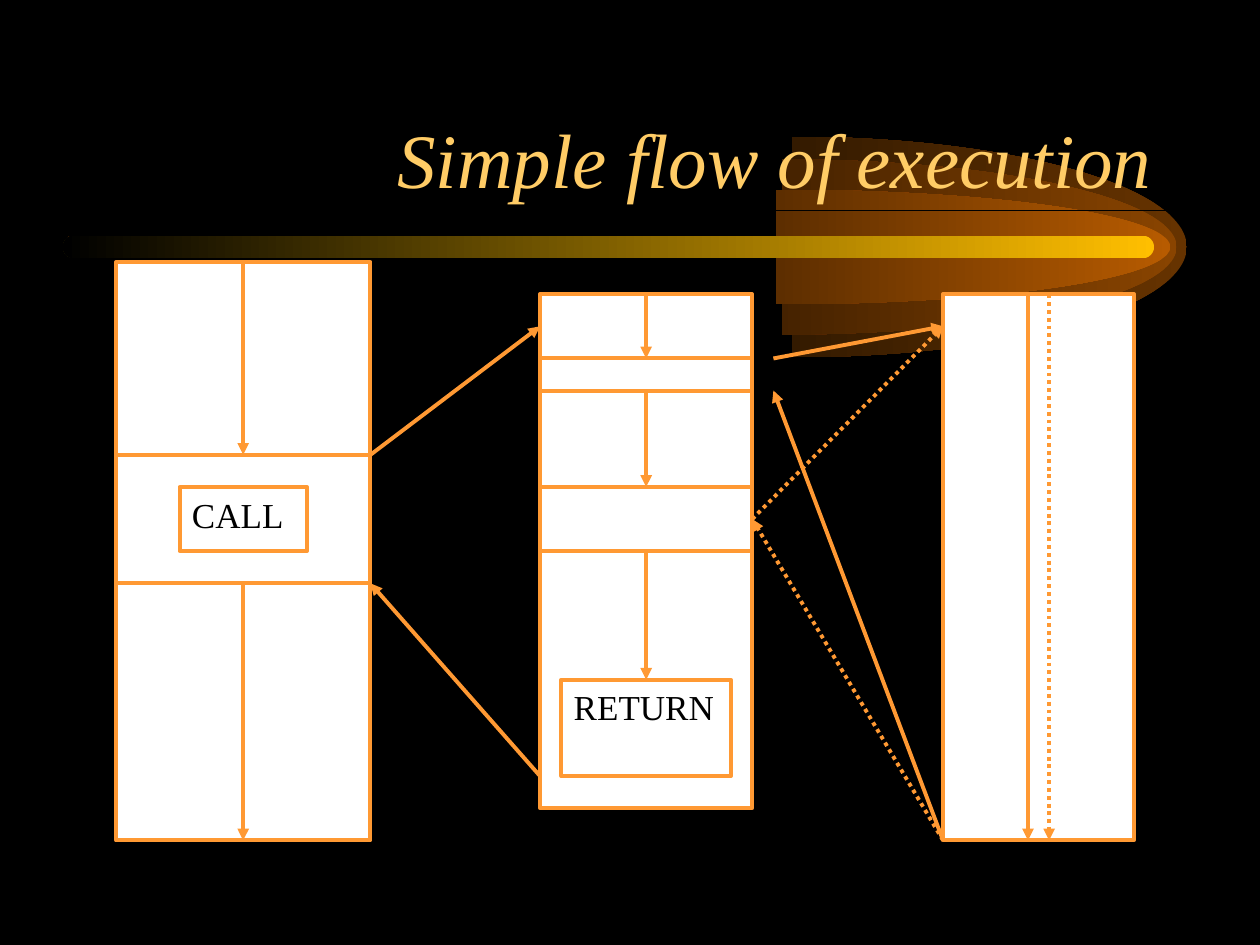
from dataclasses import dataclass

from pptx import Presentation
from pptx.dml.color import RGBColor
from pptx.enum.dml import MSO_LINE_DASH_STYLE as Dash
from pptx.enum.shapes import MSO_CONNECTOR as Connector, MSO_SHAPE as Shape
from pptx.enum.text import MSO_ANCHOR as Anchor, MSO_AUTO_SIZE as AutoSize, PP_ALIGN as Align
from pptx.oxml.ns import qn
from pptx.util import Inches, Pt
from lxml.etree import SubElement


@dataclass(frozen=True)
class Theme:
    background: str = "000000"
    title: str = "FFCC66"
    panel: str = "FFFFFF"
    accent: str = "FF9933"
    text: str = "000000"
    bar: str = "FFBF00"
    glow: tuple = ("663300", "894400", "B75B00")
    font: str = "Times New Roman"
    title_size: float = 44
    label_size: float = 20
    line_width: float = 2.25


THEME = Theme()


@dataclass(frozen=True)
class Grid:
    """Turns columns and rows inside a box into slide lengths."""
    left: float
    top: float
    width: float
    height: float
    columns: int
    rows: int

    def x(self, column):
        return Inches(self.left + self.width * column / self.columns)

    def y(self, row):
        return Inches(self.top + self.height * row / self.rows)


def color(value):
    return RGBColor.from_string(value)


def add_glow(slide, kind, box, adjustments, value):
    """Shape that fades from its colour at the right to the background."""
    shape = slide.shapes.add_shape(kind, *(Inches(length) for length in box))
    for index, adjustment in enumerate(adjustments):
        shape.adjustments[index] = adjustment
    shape.shadow.inherit = False
    shape.line.fill.background()
    shape.fill.gradient()
    shape.fill.gradient_angle = 180
    for stop, stop_color in zip(shape.fill.gradient_stops, (value, THEME.background)):
        stop.color.rgb = color(stop_color)


def add_comet(slide, left, top, width, height):
    """Half ellipses that fan out behind a glowing bar."""
    middle = top + height / 2
    half_circle = (162, 54)  # from 270 to 90 degrees, in units of 100000/60000
    layers = zip((3.16, 3.08, 3.03), (1.75, 1.39, 0.91), THEME.glow)
    for layer_left, layer_height, value in layers:
        box = (layer_left, middle - layer_height / 2, 6.26, layer_height)
        add_glow(slide, Shape.ARC, box, half_circle, value)
    add_glow(slide, Shape.ROUNDED_RECTANGLE, (left, top, width, height), (0.5,), THEME.bar)


def format_run(paragraph, size, value, italic=False):
    font = paragraph.runs[0].font
    font.name, font.size, font.italic = THEME.font, Pt(size), italic
    font.color.rgb = color(value)


def add_title(slide, text, left, top, width, height):
    title = slide.shapes.title
    title.left, title.top = Inches(left), Inches(top)
    title.width, title.height = Inches(width), Inches(height)
    title.line.color.rgb = color(THEME.background)
    title.line.width = Pt(0.75)
    frame = title.text_frame
    frame.text = text
    frame.auto_size = AutoSize.NONE
    frame.vertical_anchor = Anchor.BOTTOM
    frame.paragraphs[0].alignment = Align.RIGHT
    format_run(frame.paragraphs[0], THEME.title_size, THEME.title, italic=True)
    # Bring the title in front of the decoration
    slide.shapes._spTree.append(title._element)


def add_block(slide, grid, left, top, right, bottom, text=None):
    block = slide.shapes.add_shape(
        Shape.RECTANGLE, grid.x(left), grid.y(top),
        grid.x(right) - grid.x(left), grid.y(bottom) - grid.y(top))
    block.shadow.inherit = False
    block.fill.solid()
    block.fill.fore_color.rgb = color(THEME.panel)
    block.line.color.rgb = color(THEME.accent)
    block.line.width = Pt(THEME.line_width)
    if text:
        frame = block.text_frame
        frame.text = text
        frame.vertical_anchor = Anchor.TOP
        frame.paragraphs[0].alignment = Align.LEFT
        format_run(frame.paragraphs[0], THEME.label_size, THEME.text)


def add_line(slide, grid, start, end, arrow=False, dotted=False):
    line = slide.shapes.add_connector(
        Connector.STRAIGHT, grid.x(start[0]), grid.y(start[1]),
        grid.x(end[0]), grid.y(end[1]))
    line.line.color.rgb = color(THEME.accent)
    line.line.width = Pt(THEME.line_width)
    if dotted:
        line.line.dash_style = Dash.ROUND_DOT
    if arrow:
        SubElement(line.line._get_or_add_ln(), qn("a:tailEnd"), type="triangle")
    SubElement(line._element.spPr, qn("a:effectLst"))


def add_routine(slide, grid, left, top, right, bottom, dividers=()):
    """A code column cut by horizontal dividers."""
    add_block(slide, grid, left, top, right, bottom)
    for row in dividers:
        add_line(slide, grid, (left, row), (right, row))


def add_flow(slide, grid):
    # Three routines and their labelled instructions
    add_routine(slide, grid, 0, 0, 12, 18, dividers=(6, 10))
    add_block(slide, grid, 3, 7, 9, 9, "CALL")
    add_routine(slide, grid, 20, 1, 30, 17, dividers=(3, 4, 7, 9))
    add_block(slide, grid, 21, 13, 29, 16, "RETURN")
    add_routine(slide, grid, 39, 1, 48, 18)

    # Execution inside each routine: column, first row, last row
    for column, first, last in ((6, 0, 6), (6, 10, 18), (25, 1, 3), (25, 4, 7),
                                (25, 9, 13), (43, 1, 18)):
        add_line(slide, grid, (column, first), (column, last), arrow=True)

    # Calls and returns between routines
    for start, end in (((12, 6), (20, 2)), ((20, 16), (12, 10)),
                       ((31, 3), (39, 2)), ((39, 18), (31, 4))):
        add_line(slide, grid, start, end, arrow=True)

    # Second call of the last routine
    for start, end in (((30, 8), (39, 2)), ((39, 18), (30, 8)), ((44, 1), (44, 18))):
        add_line(slide, grid, start, end, arrow=True, dotted=True)


def main():
    presentation = Presentation()
    presentation.slide_width, presentation.slide_height = Inches(10), Inches(7.5)
    slide = presentation.slides.add_slide(presentation.slide_layouts[5])
    slide.background.fill.solid()
    slide.background.fill.fore_color.rgb = color(THEME.background)
    add_comet(slide, 0.5, 1.87, 8.66, 0.18)
    add_title(slide, "Simple flow of execution", 0.75, 0.42, 8.5, 1.25)
    add_flow(slide, Grid(0.92, 2.08, 8.08, 4.59, columns=48, rows=18))
    presentation.save("out.pptx")


if __name__ == "__main__":
    main()
